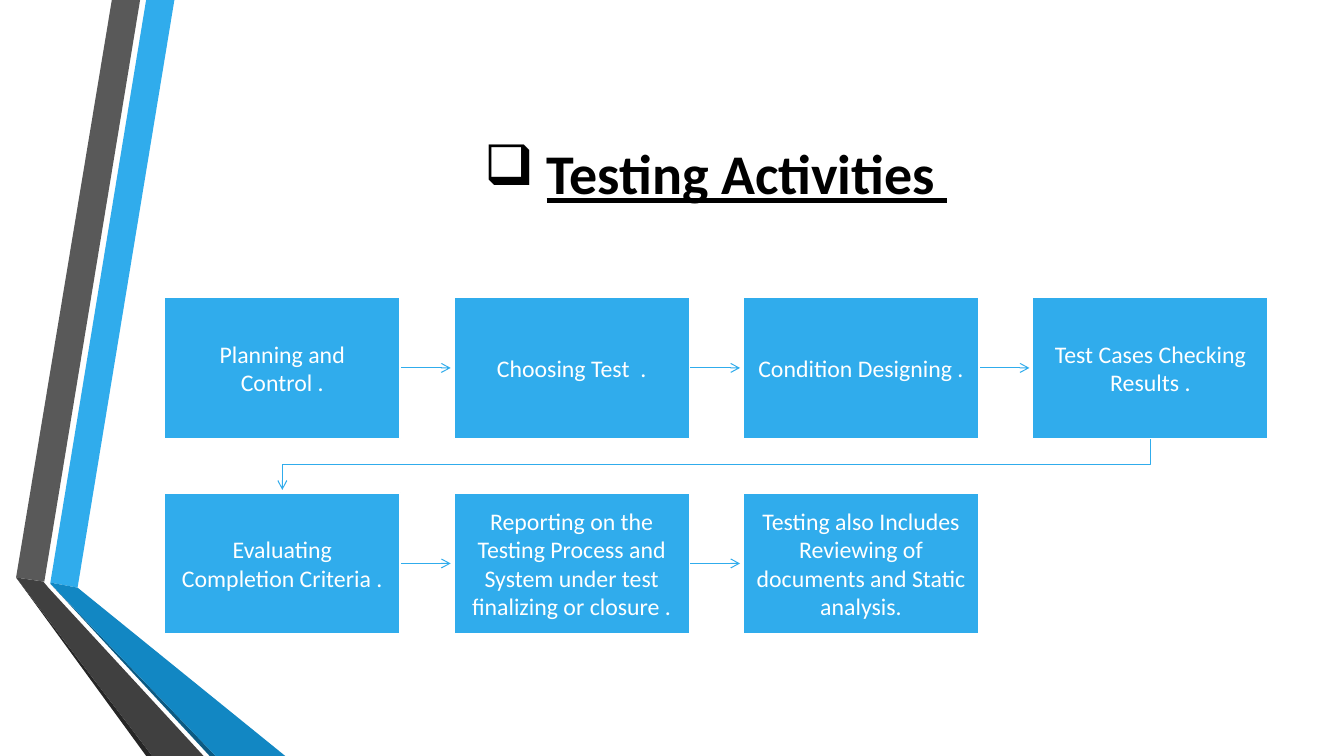
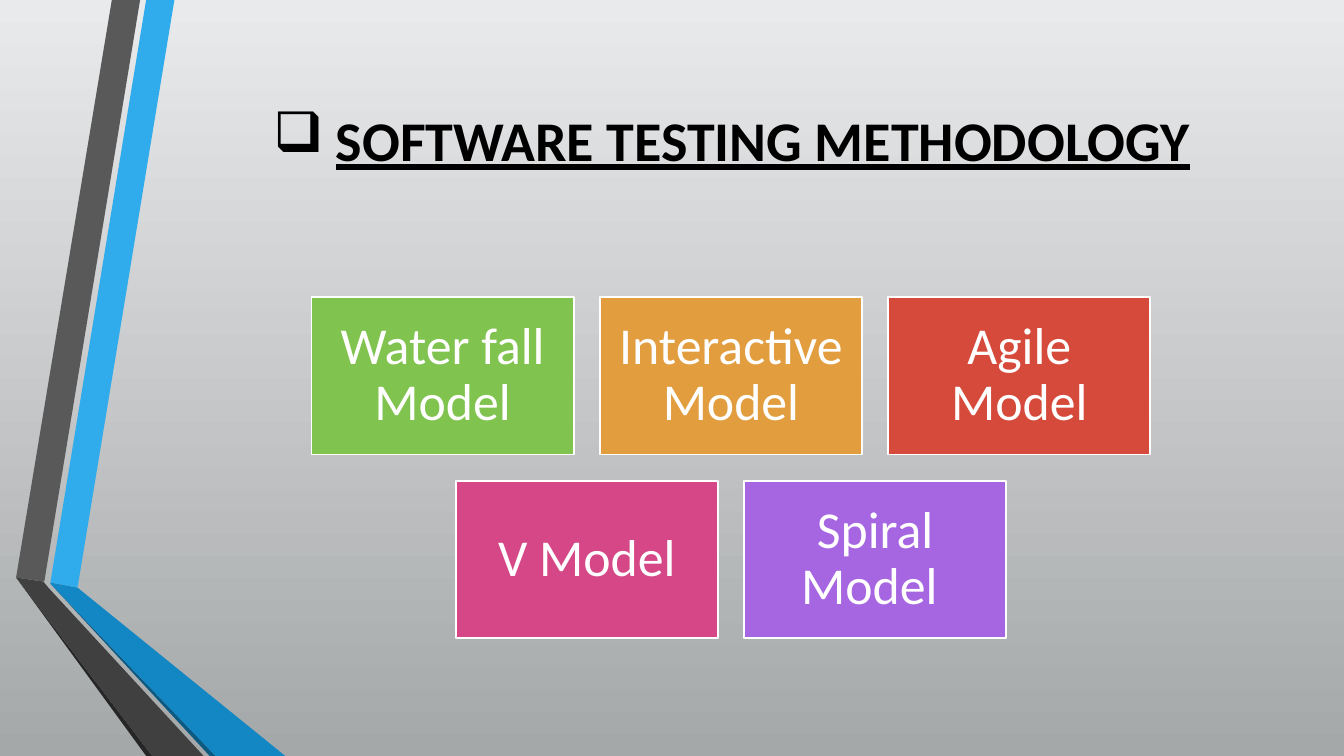
from dataclasses import dataclass

from lxml.etree import SubElement
from pptx import Presentation
from pptx.dml.color import RGBColor
from pptx.enum.shapes import MSO_CONNECTOR, MSO_SHAPE
from pptx.enum.text import MSO_ANCHOR, MSO_AUTO_SIZE, PP_ALIGN
from pptx.oxml.ns import qn
from pptx.util import Inches, Pt


@dataclass(frozen=True)
class Theme:
    font: str = "Calibri"
    title_size: int = 40
    step_size: int = 17
    model_size: int = 37
    outline: float = 1.25
    arrow_line: float = 0.75
    black: str = "000000"
    white: str = "FFFFFF"
    blue: str = "30ACEC"
    blue_mid: str = "1287C3"
    blue_dark: str = "0C5A82"
    gray: str = "595959"
    gray_mid: str = "404040"
    gray_dark: str = "262626"
    green: str = "80C34F"
    orange: str = "E29D3E"
    red: str = "D64A3B"
    pink: str = "D64787"
    purple: str = "A666E1"
    background_top: str = "E9EAEB"
    background_bottom: str = "A5A8A9"


THEME = Theme()
SLIDE_WIDTH, SLIDE_HEIGHT = 13.33, 7.5
RIGHT_EDGE = 12.58
TITLE_TOP, TITLE_HEIGHT = 0.75, 1.92
TITLE_INDENT = 0.62
ARROW_GAP = 0.03


@dataclass(frozen=True)
class Cell:
    left: float
    top: float
    width: float
    height: float

    @property
    def right(self) -> float:
        return self.left + self.width

    @property
    def bottom(self) -> float:
        return self.top + self.height

    @property
    def center(self) -> float:
        return self.left + self.width / 2

    @property
    def middle(self) -> float:
        return self.top + self.height / 2


@dataclass(frozen=True)
class Grid:
    left: float
    top: float
    width: float
    height: float
    column_gap: float
    row_gap: float

    def cell(self, column: float, row: int) -> Cell:
        return Cell(self.left + column * (self.width + self.column_gap),
                    self.top + row * (self.height + self.row_gap),
                    self.width, self.height)


@dataclass(frozen=True)
class Ribbon:
    color: str
    points: tuple  # hundredths of an inch


@dataclass(frozen=True)
class BoxStyle:
    size: int
    side_inset: float
    end_inset: float
    line_spacing: float


@dataclass(frozen=True)
class Model:
    text: str
    color: str
    column: float
    row: int


RIBBONS = (
    Ribbon(THEME.blue, ((50, 578), (77, 583), (173, 0), (145, 0))),
    Ribbon(THEME.gray, ((139, 0), (111, 0), (16, 573), (44, 577))),
    Ribbon(THEME.gray_dark, ((16, 573), (145, 750), (151, 750))),
    Ribbon(THEME.blue_dark, ((50, 579), (208, 750), (214, 750))),
    Ribbon(THEME.blue_mid, ((50, 579), (214, 750), (283, 750), (77, 583), (50, 578))),
    Ribbon(THEME.gray_mid, ((202, 750), (48, 583), (43, 577), (16, 573), (151, 750))),
)

STEP_GRID = Grid(1.63, 2.95, 2.34, 1.4, 0.53, 0.54)
STEP_STYLE = BoxStyle(THEME.step_size, 0.11, 0.12, 1.0)
STEP_COLUMNS = 4
STEPS = (
    "Planning and Control .",
    "Choosing Test  .",
    "Condition Designing .",
    "Test Cases Checking Results .",
    "Evaluating Completion Criteria .",
    "Reporting on the Testing Process and System under test finalizing or closure .",
    "Testing also Includes Reviewing of documents and Static analysis.",
)

MODEL_GRID = Grid(3.09, 2.95, 2.6, 1.56, 0.26, 0.26)
MODEL_STYLE = BoxStyle(THEME.model_size, 0.15, 0.15, 0.9)
MODELS = (
    Model("Water fall Model", THEME.green, 0, 0),
    Model("Interactive Model", THEME.orange, 1, 0),
    Model("Agile Model", THEME.red, 2, 0),
    Model("V Model", THEME.pink, 0.5, 1),
    Model("Spiral Model ", THEME.purple, 1.5, 1),
)


def rgb(color: str) -> RGBColor:
    return RGBColor.from_string(color)


def format_paragraph(para, size: int, color: str, strong: bool = False) -> None:
    para.alignment = PP_ALIGN.CENTER
    para.font.name = THEME.font
    para.font.size = Pt(size)
    para.font.color.rgb = rgb(color)
    para.font.bold = para.font.underline = strong


def add_ribbons(page, layout) -> None:
    """Draw the folded ribbons and place them on the shared layout."""
    for ribbon in RIBBONS:
        builder = page.shapes.build_freeform(*ribbon.points[0], scale=Inches(0.01))
        builder.add_line_segments(ribbon.points[1:], close=True)
        shape = builder.convert_to_shape()
        shape.shadow.inherit = False
        shape.fill.solid()
        shape.fill.fore_color.rgb = rgb(ribbon.color)
        shape.line.fill.background()
        layout.shapes.element.append(shape.element)


def set_title(page, text: str, left: float, raise_by: float = 0) -> None:
    title = page.shapes.title
    title.left, title.top = Inches(left), Inches(TITLE_TOP)
    title.width, title.height = Inches(RIGHT_EDGE - left), Inches(TITLE_HEIGHT)
    frame = title.text_frame
    frame.auto_size = MSO_AUTO_SIZE.NONE
    frame.vertical_anchor = MSO_ANCHOR.MIDDLE
    frame.margin_bottom = Inches(0.05 + 2 * raise_by)
    para = frame.paragraphs[0]
    para.text = text
    # Hanging checkbox bullet
    properties = para._p.get_or_add_pPr()
    properties.set("marL", str(Inches(TITLE_INDENT)))
    properties.set("indent", str(-Inches(TITLE_INDENT)))
    SubElement(properties, qn("a:buChar")).set("char", "❑")
    format_paragraph(para, THEME.title_size, THEME.black, strong=True)


def add_box(page, cell: Cell, text: str, color: str, style: BoxStyle) -> None:
    box = page.shapes.add_shape(
        MSO_SHAPE.RECTANGLE, Inches(cell.left), Inches(cell.top),
        Inches(cell.width), Inches(cell.height))
    box.shadow.inherit = False
    box.fill.solid()
    box.fill.fore_color.rgb = rgb(color)
    box.line.color.rgb = rgb(THEME.white)
    box.line.width = Pt(THEME.outline)
    frame = box.text_frame
    frame.word_wrap = True
    frame.vertical_anchor = MSO_ANCHOR.MIDDLE
    frame.margin_left = frame.margin_right = Inches(style.side_inset)
    frame.margin_top = frame.margin_bottom = Inches(style.end_inset)
    para = frame.paragraphs[0]
    para.text = text
    para.line_spacing = style.line_spacing
    format_paragraph(para, style.size, THEME.white)


def add_arrow(page, kind, start: tuple, end: tuple):
    points = [Inches(value) for value in (*start, *end)]
    arrow = page.shapes.add_connector(kind, *points)
    arrow.line.color.rgb = rgb(THEME.blue)
    arrow.line.width = Pt(THEME.arrow_line)
    SubElement(arrow.line._get_or_add_ln(), qn("a:tailEnd")).set("type", "arrow")
    SubElement(arrow.element.spPr, qn("a:effectLst"))
    return arrow


def add_step_arrow(page, source: Cell, target: Cell) -> None:
    """Point right within a row, or lead down and back to the next row."""
    if source.top == target.top:
        add_arrow(page, MSO_CONNECTOR.STRAIGHT, (source.right, source.middle),
                  (target.left - ARROW_GAP, target.middle))
        return
    # A quarter turn makes the elbow leave downwards
    start_y, end_y = source.bottom, target.top - ARROW_GAP
    middle_x, middle_y = (source.center + target.center) / 2, (start_y + end_y) / 2
    half_drop, half_span = (end_y - start_y) / 2, (source.center - target.center) / 2
    elbow = add_arrow(page, MSO_CONNECTOR.ELBOW,
                      (middle_x - half_drop, middle_y - half_span),
                      (middle_x + half_drop, middle_y + half_span))
    elbow.element.spPr.find(qn("a:xfrm")).set("rot", str(90 * 60000))


def build_activities(page) -> None:
    set_title(page, "Testing Activities ", 1.62)
    cells = [STEP_GRID.cell(index % STEP_COLUMNS, index // STEP_COLUMNS)
             for index in range(len(STEPS))]
    for source, target in zip(cells, cells[1:]):
        add_step_arrow(page, source, target)
    for cell, text in zip(cells, STEPS):
        add_box(page, cell, text, THEME.blue, STEP_STYLE)


def build_methodology(page) -> None:
    fill = page.background.fill
    fill.gradient()
    fill.gradient_angle = 270
    for stop, color in zip(fill.gradient_stops,
                           (THEME.background_top, THEME.background_bottom)):
        stop.color.rgb = rgb(color)
    set_title(page, "SOFTWARE TESTING METHODOLOGY", 1.93, raise_by=0.33)
    for model in MODELS:
        add_box(page, MODEL_GRID.cell(model.column, model.row),
                model.text, model.color, MODEL_STYLE)


def main() -> None:
    deck = Presentation()
    deck.slide_width, deck.slide_height = Inches(SLIDE_WIDTH), Inches(SLIDE_HEIGHT)
    layout = deck.slide_layouts.get_by_name("Title Only")
    activities = deck.slides.add_slide(layout)
    methodology = deck.slides.add_slide(layout)
    add_ribbons(activities, layout)
    build_activities(activities)
    build_methodology(methodology)
    deck.save("out.pptx")


if __name__ == "__main__":
    main()
